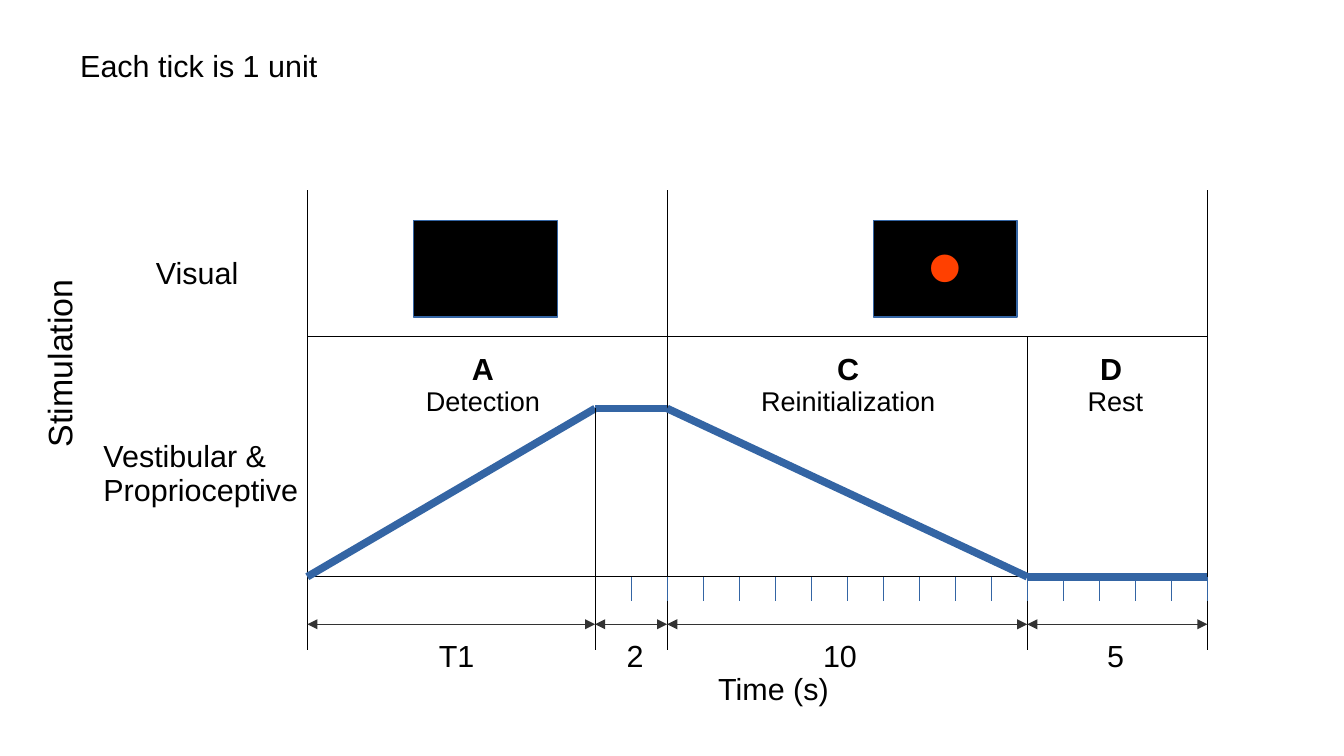
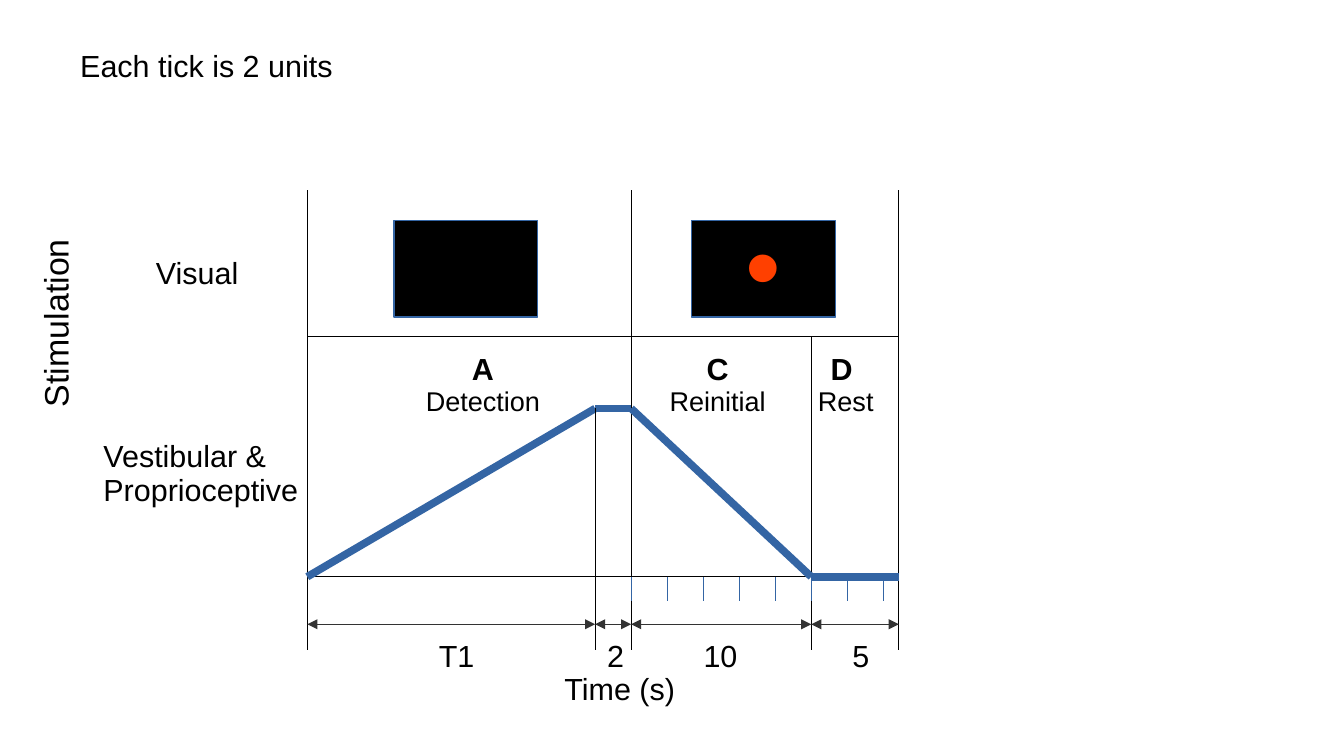
from dataclasses import dataclass
from itertools import pairwise

from lxml.etree import SubElement
from pptx import Presentation
from pptx.dml.color import RGBColor
from pptx.enum.shapes import MSO_CONNECTOR, MSO_SHAPE
from pptx.enum.text import MSO_ANCHOR, PP_ALIGN
from pptx.oxml.ns import qn
from pptx.util import Inches, Pt


@dataclass(frozen=True)
class Theme:
    font: str = "Arial"
    ink: RGBColor = RGBColor(0x00, 0x00, 0x00)
    accent: RGBColor = RGBColor(0x34, 0x65, 0xA4)
    arrow: RGBColor = RGBColor(0x33, 0x33, 0x33)
    target: RGBColor = RGBColor(0xFF, 0x40, 0x00)
    body: int = 18
    small: int = 16
    axis: int = 20
    dot: int = 60
    thin: float = 0.75
    thick: float = 4.5
    spacing: float = 0.93


THEME = Theme()


@dataclass(frozen=True)
class Box:
    left: float
    top: float
    width: float
    height: float


@dataclass(frozen=True)
class Timing:
    """One timing diagram; horizontal places are relative to its left edge."""
    heading: str
    units_per_tick: int
    width: float
    screens: tuple      # left of each visual stimulus
    names: tuple        # letter, phase, left, width
    durations: tuple    # label, left
    time_left: float
    stimulation: Box


RAMP = 2.36             # width of the T1 phase
TICK = 5.02 / 17        # distance between ticks
HOLD, RETURN = 2, 10    # phase lengths in units

DIAGRAM_LEFT, DIAGRAM_TOP, DIAGRAM_HEIGHT = 2.52, 1.56, 3.77
DIVIDER, PEAK, BASELINE, SPANS = 1.2, 1.79, 3.17, 3.56

TIMINGS = (
    Timing(
        "Each tick is 1 unit", 1, 7.38, (0.87, 4.64),
        (("A", "Detection", 0.77, 1.34),
         ("C", "Reinitialization", 3.52, 1.83),
         ("D ", "Rest", 6.2, 0.85)),
        (("T1", 0.98), ("2", 2.52), ("10", 4.13), ("5", 6.46)),
        3.27, Box(0.3, 2.1, 0.4, 1.76)),
    Timing(
        "Each tick is 2 units", 2, 4.85, (0.71, 3.15),
        (("A", "Detection", 0.77, 1.34),
         ("C", "Reinitial", 2.77, 1.19),
         ("D ", "Rest", 3.99, 0.85)),
        (("T1", 0.98), ("2", 2.36), ("10", 3.15), ("5", 4.37)),
        2.01, Box(0.27, 1.77, 0.4, 1.76)),
)


# Shared drawing helpers

def add_line(slide, start, end, color=THEME.ink, weight=THEME.thin, arrows=False):
    line = slide.shapes.add_connector(
        MSO_CONNECTOR.STRAIGHT, *(Inches(v) for v in (*start, *end)))
    line.line.color.rgb = color
    line.line.width = Pt(weight)
    properties = line._element.spPr
    if arrows:
        outline = properties.find(qn("a:ln"))
        for tip in ("a:headEnd", "a:tailEnd"):
            SubElement(outline, qn(tip), type="triangle")
    SubElement(properties, qn("a:effectLst"))


def write(frame, rows, align=PP_ALIGN.LEFT):
    """Each row is (text, size, bold, color)."""
    for index, (text, size, bold, color) in enumerate(rows):
        paragraph = frame.add_paragraph() if index else frame.paragraphs[0]
        paragraph.alignment = align
        paragraph.line_spacing = THEME.spacing
        run = paragraph.add_run()
        run.text = text
        run.font.name = THEME.font
        run.font.size = Pt(size)
        run.font.bold = bold
        run.font.color.rgb = color


def add_label(slide, box, *rows, align=PP_ALIGN.LEFT):
    label = slide.shapes.add_textbox(
        *(Inches(v) for v in (box.left, box.top, box.width, box.height)))
    label.text_frame.word_wrap = True
    write(label.text_frame, rows, align)
    return label.text_frame


def body(text):
    return text, THEME.body, False, THEME.ink


# Regions of the slide

def add_heading(slide, box, text):
    add_label(slide, box, body(text))


def add_row_labels(slide, box, stimulation):
    add_label(slide, Box(box.left + 0.43, box.top, 0.98, 0.38), body("Visual"))
    add_label(slide, Box(box.left, box.top + 1.5, box.width, 0.66),
              body("Vestibular &"), body("Proprioceptive"))
    # Axis title, read from bottom to top
    axis = add_label(slide, stimulation,
                     ("Stimulation", THEME.axis, False, THEME.ink),
                     align=PP_ALIGN.CENTER)
    axis.margin_left = axis.margin_right = Inches(0.05)
    axis.margin_top = axis.margin_bottom = Inches(0.1)
    axis.vertical_anchor = MSO_ANCHOR.MIDDLE
    axis._txBody.bodyPr.set("vert", "vert270")


def add_screen(slide, box, has_target):
    screen = slide.shapes.add_shape(
        MSO_SHAPE.RECTANGLE,
        *(Inches(v) for v in (box.left, box.top, box.width, box.height)))
    screen.shadow.inherit = False
    screen.fill.solid()
    screen.fill.fore_color.rgb = THEME.ink
    screen.line.color.rgb = THEME.accent
    screen.line.width = Pt(THEME.thin)
    if has_target:
        screen.text_frame.word_wrap = False
        screen.text_frame.vertical_anchor = MSO_ANCHOR.MIDDLE
        write(screen.text_frame, [("•", THEME.dot, False, THEME.target)],
              PP_ALIGN.CENTER)


def add_diagram(slide, box, timing):
    def at(x, y):
        return box.left + x, box.top + y

    unit = TICK / timing.units_per_tick
    hold_end = RAMP + HOLD * unit
    return_end = hold_end + RETURN * unit
    bounds = (0, RAMP, hold_end, return_end, box.width)

    # Frame: phase borders and the two horizontal rules
    for x, top in ((0, 0), (return_end, DIVIDER), (hold_end, 0), (box.width, 0)):
        add_line(slide, at(x, box.height), at(x, top))
    for y in (DIVIDER, BASELINE):
        add_line(slide, at(0, y), at(box.width, y))

    # Ticks start where the ramp ends
    tick_count = int((box.width - RAMP) / TICK + 0.01) + 1
    for index in range(tick_count):
        x = RAMP + index * TICK
        add_line(slide, at(x, BASELINE), at(x, BASELINE + 0.2), THEME.accent)

    # Stimulation curve and the border of its ramp
    levels = (BASELINE, PEAK, PEAK, BASELINE, BASELINE)
    for start, end in pairwise(zip(bounds, levels)):
        add_line(slide, at(*start), at(*end), THEME.accent, THEME.thick)
    add_line(slide, at(RAMP, box.height), at(RAMP, PEAK))

    # Visual stimuli
    for index, left in enumerate(timing.screens):
        add_screen(slide, Box(*at(left, 0.25), 1.18, 0.79), has_target=index == 1)

    # Phase names
    for letter, phase, left, width in timing.names:
        add_label(slide, Box(*at(left, 1.29), width, 0.63),
                  (letter, THEME.body, True, THEME.ink),
                  (phase, THEME.small, False, THEME.ink),
                  align=PP_ALIGN.CENTER)

    # Durations and time axis
    for start, end in pairwise(bounds):
        add_line(slide, at(start, SPANS), at(end, SPANS), THEME.arrow, arrows=True)
    for duration, left in timing.durations:
        add_label(slide, Box(*at(left, 3.64), 0.49, 0.38), body(duration))
    add_label(slide, Box(*at(timing.time_left, 3.91), 1.26, 0.38), body("Time (s)"))


def main():
    deck = Presentation()
    deck.slide_width, deck.slide_height = Inches(11.02), Inches(6.2)
    for timing in TIMINGS:
        slide = deck.slides.add_slide(deck.slide_layouts[6])
        add_heading(slide, Box(0.56, 0.36, 2.6, 0.38), timing.heading)
        add_row_labels(slide, Box(0.75, 2.06, 1.97, 2.16), timing.stimulation)
        add_diagram(slide, Box(DIAGRAM_LEFT, DIAGRAM_TOP, timing.width, DIAGRAM_HEIGHT),
                    timing)
    deck.save("out.pptx")


if __name__ == "__main__":
    main()
